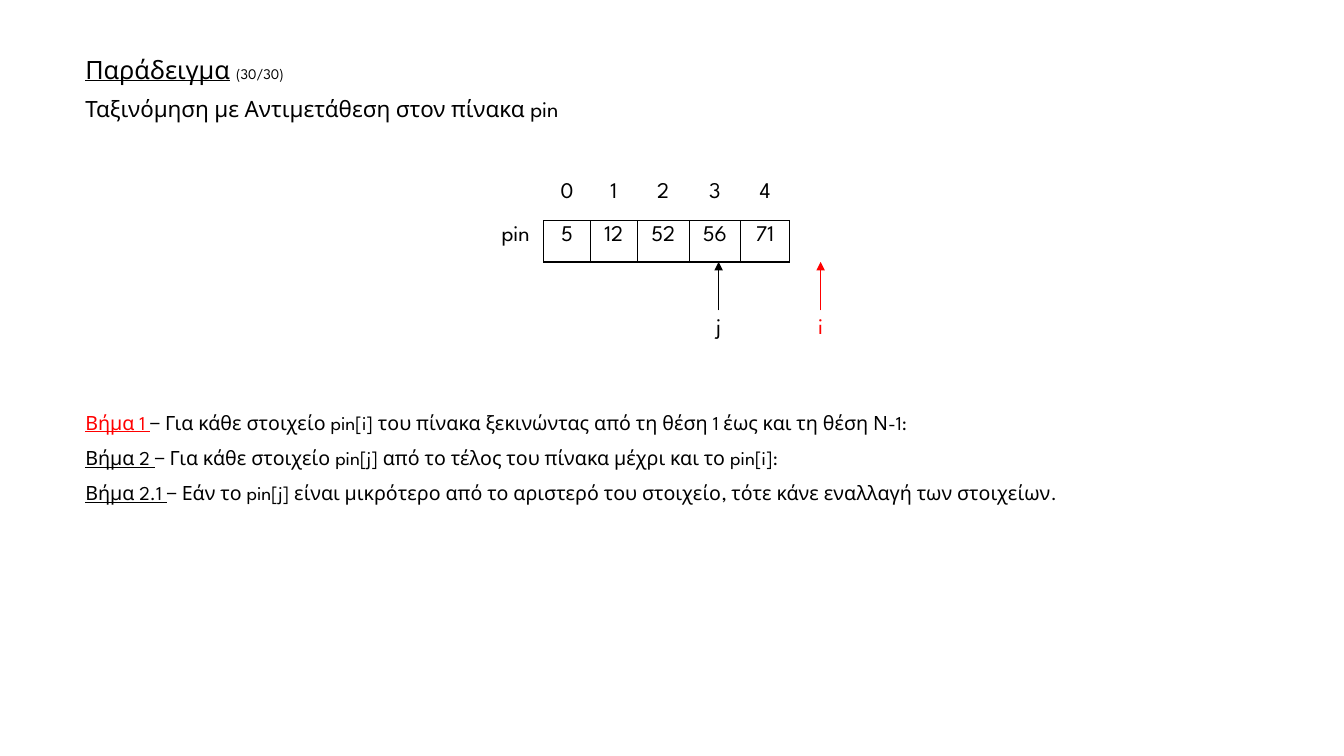
import pptx
import pptx.util
import pptx.dml.color
import pptx.enum.shapes
import pptx.enum.text
import pptx.oxml
import pptx.oxml.ns

Cm, Pt = pptx.util.Cm, pptx.util.Pt
COLORS = {"ink": "000000", "red": "FF0000"}
FONT = "League Spartan"
CENTER = pptx.enum.text.PP_ALIGN.CENTER
NS = pptx.oxml.ns.nsdecls("a")


def style(para, size, color="ink"):
    para.font.name = FONT
    para.font.size = Pt(size)
    para.font.color.rgb = pptx.dml.color.RGBColor.from_string(COLORS[color])


def add_box(left, top, width, height):
    """Add a wrapping text box, measured in centimetres."""
    frame = slide.shapes.add_textbox(Cm(left), Cm(top), Cm(width), Cm(height)).text_frame
    frame.word_wrap = True
    return frame


deck = pptx.Presentation()
deck.slide_width, deck.slide_height = Cm(33.87), Cm(19.05)
slide = deck.slides.add_slide(deck.slide_layouts[6])

# Heading
head = add_box(1.9, 1.32, 27.4, 1.96)
title = head.paragraphs[0]
style(title, 18)
title.line_spacing = 0.9
title.add_run().text = "Παράδειγμα"
title.runs[0].font.underline = True
title.add_run().text = " "
count = title.add_run()
count.text = "(30/30)"
count.font.size = Pt(10.5)
topic = head.add_paragraph()
style(topic, 16)
topic.line_spacing = 0.9
topic.space_before = Pt(10)
topic.text = "Ταξινόμηση με Αντιμετάθεση στον πίνακα pin"

# Array: indices above, values below
rows = [["", "0", "1", "2", "3", "4"], ["pin", "5", "12", "52", "56", "71"]]
widths = [1.41, 1.18, 1.18, 1.31, 1.29, 1.24]
heights = [1.09, 1.04]
table = slide.shapes.add_table(
    2, 6, Cm(12.29), Cm(4.47), Cm(sum(widths)), Cm(sum(heights))
).table
table.first_row = table.horz_banding = False
for col, width in zip(table.columns, widths):
    col.width = Cm(width)
for r, row in enumerate(rows):
    table.rows[r].height = Cm(heights[r])
    for c, text in enumerate(row):
        cell = table.cell(r, c)
        cell.fill.background()
        para = cell.text_frame.paragraphs[0]
        para.alignment = CENTER
        style(para, 16)
        para.text = text
        if c == 0:
            sides = "R" if r else ""
        else:
            sides = "LRTB" if r else "B"
        props = cell._tc.get_or_add_tcPr()
        for n, side in enumerate(sides):
            props.insert(n, pptx.oxml.parse_xml(
                f'<a:ln{side} {NS} w="12700"><a:solidFill>'
                f'<a:srgbClr val="{COLORS["ink"]}"/></a:solidFill></a:ln{side}>'))

# Index markers with arrows
for name, x, color in [("i", 20.68, "red"), ("j", 18.11, "ink")]:
    frame = add_box(x - 0.3, 7.82, 0.6, 0.91)
    frame.margin_left = frame.margin_right = 0
    label = frame.paragraphs[0]
    label.alignment = CENTER
    label.line_spacing = 0.9
    style(label, 16, color)
    label.text = name
    arrow = slide.shapes.add_connector(
        pptx.enum.shapes.MSO_CONNECTOR.STRAIGHT, Cm(x), Cm(7.82), Cm(x), Cm(6.6))
    arrow.line.width = Pt(0.5)
    arrow.line.color.rgb = pptx.dml.color.RGBColor.from_string(COLORS[color])
    arrow.line._get_or_add_ln().append(
        pptx.oxml.parse_xml(f'<a:tailEnd {NS} type="triangle"/>'))
    arrow._element.spPr.append(pptx.oxml.parse_xml(f"<a:effectLst {NS}/>"))

# Steps of the algorithm
steps = [
    ("Βήμα 1 ", "− Για κάθε στοιχείο pin[i] του πίνακα ξεκινώντας από τη θέση 1 έως και τη θέση Ν-1:"),
    ("Βήμα 2 ", "− Για κάθε στοιχείο pin[j] από το τέλος του πίνακα μέχρι και το pin[i]:"),
    ("Βήμα 2.1 ", "− Εάν το pin[j] είναι μικρότερο από το αριστερό του στοιχείο, "
     "τότε κάνε εναλλαγή των στοιχείων."),
]
body = add_box(1.9, 9.93, 29.29, 2.84)
for n, (step, text) in enumerate(steps):
    para = body.add_paragraph() if n else body.paragraphs[0]
    style(para, 14)
    para.line_spacing = 1.5
    mark = para.add_run()
    mark.text = step
    mark.font.underline = True
    if n == 0:
        mark.font.color.rgb = pptx.dml.color.RGBColor.from_string(COLORS["red"])
    para.add_run().text = text

deck.save("out.pptx")
